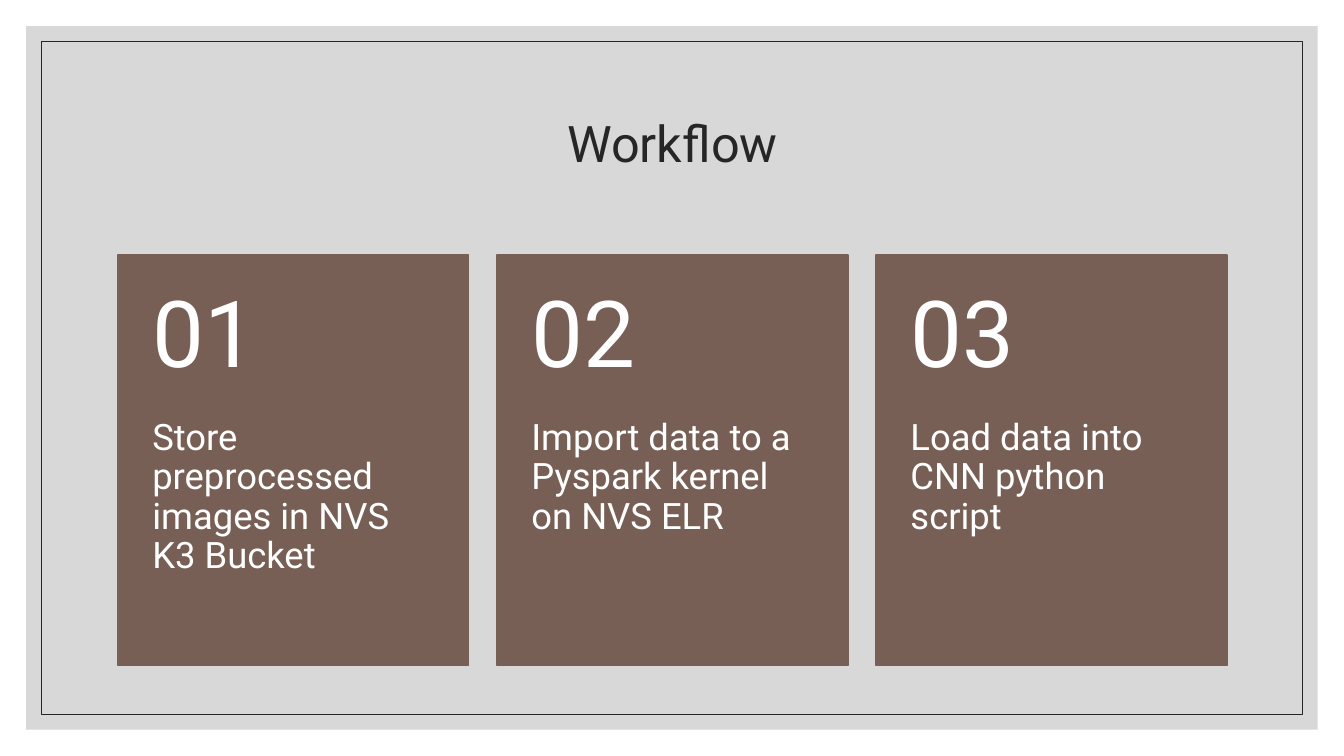
from lxml import etree
from pptx import Presentation
from pptx import util as u
from pptx.dml.color import RGBColor
from pptx.enum import shapes, text
from pptx.oxml.ns import qn

TITLE = "Workflow"
STEPS = [
    "Store preprocessed images in NVS K3 Bucket",
    "Import data to a Pyspark kernel on NVS ELR",
    "Load data into CNN python script",
]
FONT = "Roboto"
DARK, GREY, BROWN, WHITE = "262626", "BFBFBF", "775F55", "FFFFFF"
WIDE, HIGH = 13.33, 7.5
LEFT, TOP, CARD, TALL, GAP = 1.17, 2.53, 3.48, 4.07, 0.28
HEAD = 1.63


def paint(fmt, code):
    fmt.solid()
    fmt.fore_color.rgb = RGBColor.from_string(code)


def add_rect(slide, box, fill=None, line=None, width=1):
    rect = slide.shapes.add_shape(shapes.MSO_SHAPE.RECTANGLE, *map(u.Inches, box))
    rect.shadow.inherit = False
    if fill:
        paint(rect.fill, fill)
    else:
        rect.fill.background()
    if line:
        paint(rect.line.fill, line)
        rect.line.width = u.Pt(width)
    else:
        rect.line.fill.background()
    return rect


def add_text(slide, words, box, size, color=WHITE, inset=(0.1, 0.05, 0.1, 0.05),
             anchor=text.MSO_ANCHOR.MIDDLE, align=text.PP_ALIGN.LEFT):
    frame = slide.shapes.add_textbox(*map(u.Inches, box)).text_frame
    frame.word_wrap = True
    frame.vertical_anchor = anchor
    (frame.margin_left, frame.margin_top,
     frame.margin_right, frame.margin_bottom) = map(u.Inches, inset)
    para = frame.paragraphs[0]
    para.alignment = align
    para.line_spacing = 0.9
    run = para.add_run()
    run.text = words
    run.font.name = FONT
    run.font.size = u.Pt(size)
    paint(run.font.fill, color)


def add_frame(slide):
    edge, inner = 0.26, 0.41
    back = add_rect(slide, (edge, edge, WIDE - 2 * edge, HIGH - 2 * edge), fill=GREY)
    tint = back.fill._xPr.find(".//" + qn("a:srgbClr"))
    etree.SubElement(tint, qn("a:alpha"), val="60000")
    add_rect(slide, (inner, inner, WIDE - 2 * inner, HIGH - 2 * inner),
             line=DARK, width=0.5)


def add_card(slide, index, words):
    x = LEFT + index * (CARD + GAP)
    add_rect(slide, (x, TOP, CARD, TALL), fill=BROWN, line=BROWN)
    add_text(slide, words, (x, TOP + HEAD, CARD, TALL - HEAD), 26,
             inset=(0.34, 0, 0.34, 0.36), anchor=text.MSO_ANCHOR.TOP)
    add_text(slide, f"{index + 1:02}", (x, TOP, CARD, HEAD), 66,
             inset=(0.34, 0.18, 0.34, 0.18))


def main():
    deck = Presentation()
    deck.slide_width, deck.slide_height = u.Inches(WIDE), u.Inches(HIGH)
    slide = deck.slides.add_slide(deck.slide_layouts[6])
    add_frame(slide)
    add_text(slide, TITLE, (LEFT, 0.7, 11, 1.5), 36, color=DARK,
             align=text.PP_ALIGN.CENTER)
    for index, words in enumerate(STEPS):
        add_card(slide, index, words)
    deck.save("out.pptx")


if __name__ == "__main__":
    main()
